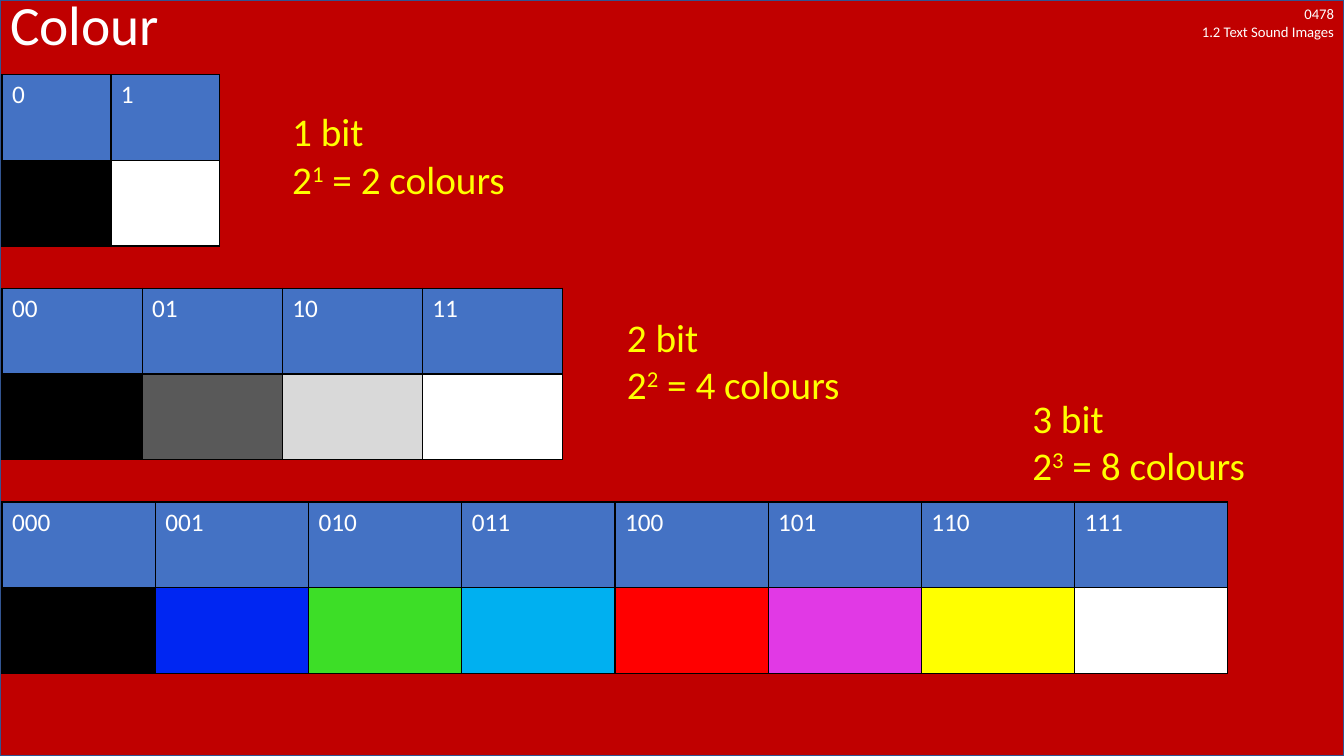
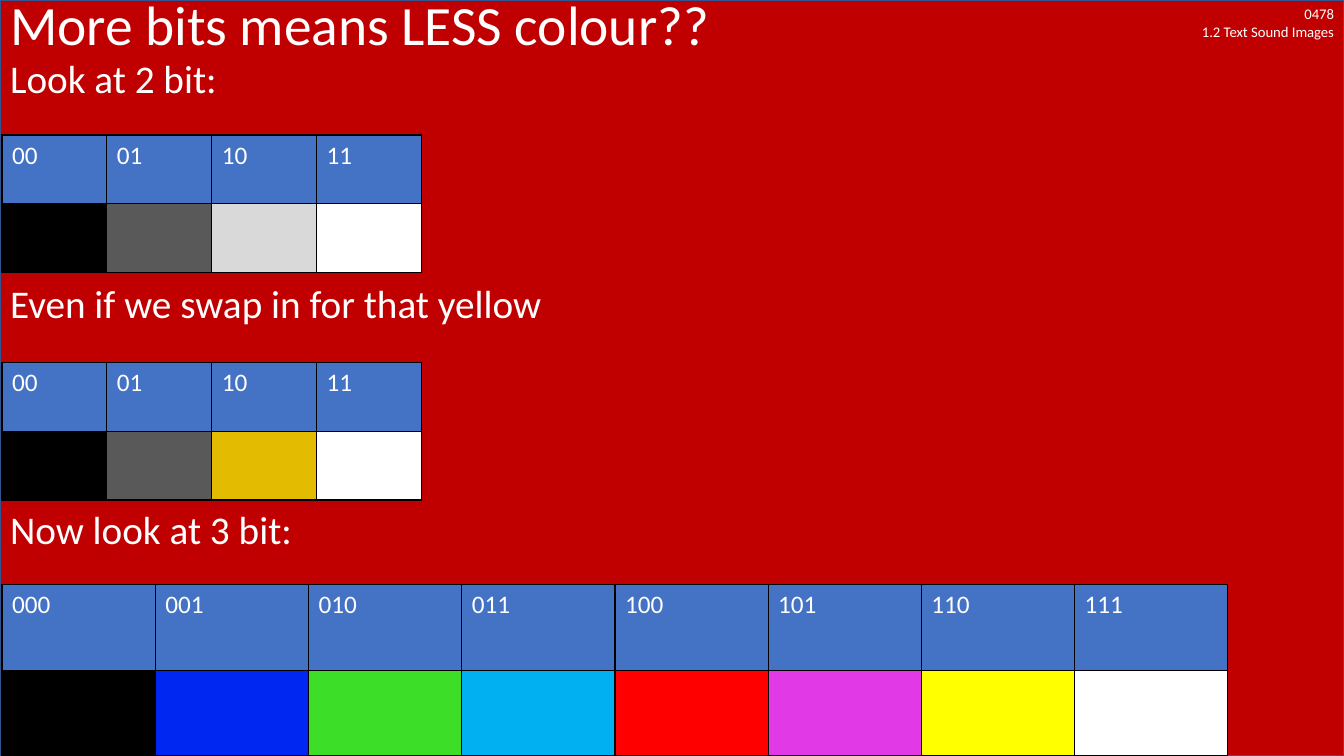
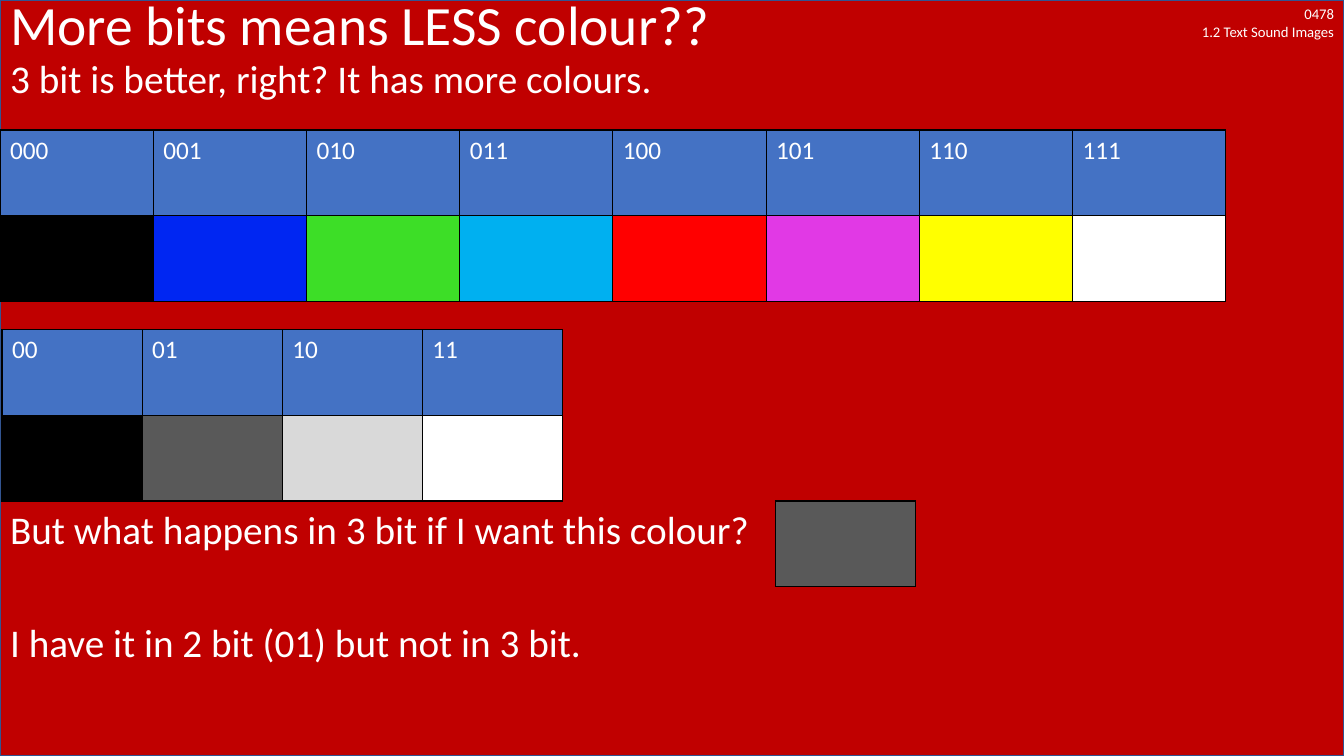
"""Builds three slides on colour depth in bits."""
from lxml import etree
from pptx import Presentation
from pptx.dml.color import RGBColor
from pptx.enum.shapes import MSO_SHAPE
from pptx.enum.text import MSO_ANCHOR, MSO_AUTO_SIZE, PP_ALIGN
from pptx.oxml.ns import qn
from pptx.util import Inches, Pt

RECTANGLE = MSO_SHAPE.RECTANGLE
TOP, MIDDLE = MSO_ANCHOR.TOP, MSO_ANCHOR.MIDDLE
NO_FIT = MSO_AUTO_SIZE.NONE
LEFT, RIGHT = PP_ALIGN.LEFT, PP_ALIGN.RIGHT

FONT = "Calibri"
WIDTH, HEIGHT = 13.33, 7.5
TITLE_HEIGHT = 0.54
EDGE = 0.02
TALL, SHORT = 0.85, 0.68
NARROW, MEDIUM, WIDE = 1.08, 1.39, 1.52
COMPACT = 1.04
LINE_HEIGHT, LINE_GAP = 30.3, 10

COLOURS = {
    "background": "C00000", "outline": "325491", "code": "4472C4",
    "text": "FFFFFF", "note": "FFFF00", "border": "000000",
    "black": "000000", "white": "FFFFFF", "dark grey": "595959",
    "light grey": "D9D9D9", "gold": "E3BC02", "blue": "0026F2",
    "green": "3DDE27", "cyan": "00B0F0", "red": "FF0000",
    "magenta": "E139E5", "yellow": "FFFF00",
}
ONE_BIT = ["black", "white"]
TWO_BIT = ["black", "dark grey", "light grey", "white"]
TWO_BIT_GOLD = ["black", "dark grey", "gold", "white"]
THREE_BIT = ["black", "blue", "green", "cyan", "red", "magenta", "yellow", "white"]

HEADER = ["0478", "1.2 Text Sound Images"]
LESS_COLOUR = "More bits means LESS colour??"

# palettes: swatches, left, top, column width, row height
# lines: text, number of lines below the previous text
SLIDES = [
    {
        "title": "Colour",
        "lines": [],
        "palettes": [
            (ONE_BIT, EDGE, 0.74, NARROW, TALL),
            (TWO_BIT, EDGE, 2.86, MEDIUM, TALL),
            (THREE_BIT, EDGE, 4.98, WIDE, TALL),
        ],
        "notes": [(1, 2.8, 1.02), (2, 6.12, 3.06), (3, 10.14, 3.86)],
    },
    {
        "title": LESS_COLOUR,
        "lines": [
            ("Look at 2 bit:", 0),
            ("Even if we swap in for that yellow", 4),
            ("Now look at 3 bit:", 4),
        ],
        "palettes": [
            (TWO_BIT, EDGE, 1.34, COMPACT, SHORT),
            (TWO_BIT_GOLD, EDGE, 3.6, COMPACT, SHORT),
            (THREE_BIT, EDGE, HEIGHT - 2 * TALL, WIDE, TALL),
        ],
        "notes": [],
    },
    {
        "title": LESS_COLOUR,
        "lines": [
            ("3 bit is better, right? It has more colours.", 0),
            ("But what happens in 3 bit if I want this colour?", 8),
            ("I have it in 2 bit (01) but not in 3 bit.", 2),
        ],
        "palettes": [
            (THREE_BIT, 0, 1.29, WIDE, TALL),
            (TWO_BIT, EDGE, 3.27, MEDIUM, TALL),
            (["dark grey"], 7.69, 4.97, MEDIUM, TALL),
        ],
        "notes": [],
    },
]


def rgb(name):
    return RGBColor.from_string(COLOURS[name])


def box(left, top, width, height):
    return [Inches(length) for length in (left, top, width, height)]


def style(paragraph, size, colour="text", align=LEFT):
    paragraph.alignment = align
    paragraph.font.name = FONT
    paragraph.font.size = Pt(size)
    paragraph.font.color.rgb = rgb(colour)


def add_text(slide, place):
    frame = slide.shapes.add_textbox(*place).text_frame
    frame.word_wrap = True
    return frame.paragraphs[0]


def move_to_master(master, shapes):
    tree = master.element.cSld.spTree
    for order, shape in enumerate(shapes):
        element = shape.element
        element.nvSpPr.cNvPr.set("id", str(100 + order))
        tree.insert(2 + order, element)


def add_backdrop(slide, master):
    backdrop = slide.shapes.add_shape(RECTANGLE, *box(0, 0, WIDTH, HEIGHT))
    backdrop.shadow.inherit = False
    backdrop.fill.solid()
    backdrop.fill.fore_color.rgb = rgb("background")
    backdrop.line.color.rgb = rgb("outline")
    backdrop.line.width = Pt(1)
    header = add_text(slide, box(WIDTH - 2.1, 0, 2.1, 0.45))
    code, topic = HEADER
    header.add_run().text = code
    header.add_line_break()
    header.add_run().text = topic
    style(header, 10.5, align=RIGHT)
    move_to_master(master, list(slide.shapes)[-2:])


def place_placeholder(placeholder, top, height, anchor):
    placeholder.left, placeholder.top, placeholder.width, placeholder.height = box(
        0, top, WIDTH, height)
    frame = placeholder.text_frame
    frame.auto_size = NO_FIT
    frame.vertical_anchor = anchor
    return frame


def fill_title(slide, title):
    frame = place_placeholder(slide.shapes.title, 0, TITLE_HEIGHT, MIDDLE)
    frame.text = title
    paragraph = frame.paragraphs[0]
    paragraph.line_spacing = 0.9
    style(paragraph, 39.6)


def fill_body(slide, lines):
    frame = place_placeholder(
        slide.placeholders[1], TITLE_HEIGHT, HEIGHT - TITLE_HEIGHT, TOP)
    frame.text = "\n".join(text for text, _ in lines)
    for paragraph, (_, steps) in zip(frame.paragraphs, lines):
        properties = paragraph._p.get_or_add_pPr()
        properties.set("marL", "0")
        properties.set("indent", "0")
        etree.SubElement(properties, qn("a:buNone"))
        paragraph.line_spacing = 0.9
        paragraph.space_before = Pt(
            max(0, steps * (LINE_HEIGHT + LINE_GAP) - LINE_HEIGHT))
        style(paragraph, 28)


def add_borders(cell):
    properties = cell._tc.get_or_add_tcPr()
    for order, side in enumerate(("lnL", "lnR", "lnT", "lnB")):
        border = etree.Element(qn("a:" + side), w=str(Pt(1)))
        solid = etree.SubElement(border, qn("a:solidFill"))
        etree.SubElement(solid, qn("a:srgbClr"), val=COLOURS["border"])
        properties.insert(order, border)


def add_palette(slide, swatches, left, top, column, row):
    count = len(swatches)
    bits = count.bit_length() - 1
    codes = [(format(number, f"0{bits}b"), "code") for number in range(count)]
    colours = [("", swatch) for swatch in swatches]
    rows = [codes, colours] if bits else [colours]
    table = slide.shapes.add_table(
        len(rows), count, *box(left, top, count * column, len(rows) * row)).table
    table.first_row = table.horz_banding = False
    for table_column in table.columns:
        table_column.width = Inches(column)
    for table_row, contents in zip(table.rows, rows):
        table_row.height = Inches(row)
        for cell, (text, fill) in zip(table_row.cells, contents):
            cell.text = text
            style(cell.text_frame.paragraphs[0], 18)
            cell.fill.solid()
            cell.fill.fore_color.rgb = rgb(fill)
            add_borders(cell)


def add_note(slide, bits, left, top):
    note = add_text(slide, box(left, top, 3, 1.04))
    note.add_run().text = f"{bits} bit"
    note.add_line_break()
    note.add_run().text = "2"
    power = note.add_run()
    power.text = str(bits)
    power._r.get_or_add_rPr().set("baseline", "30000")
    note.add_run().text = f" = {2 ** bits} colours"
    style(note, 28, "note")


def main():
    deck = Presentation()
    deck.slide_width, deck.slide_height = Inches(WIDTH), Inches(HEIGHT)
    with_body = deck.slide_layouts.get_by_name("Title and Content")
    title_only = deck.slide_layouts.get_by_name("Title Only")
    for content in SLIDES:
        slide = deck.slides.add_slide(with_body if content["lines"] else title_only)
        fill_title(slide, content["title"])
        if content["lines"]:
            fill_body(slide, content["lines"])
        for palette in content["palettes"]:
            add_palette(slide, *palette)
        for note in content["notes"]:
            add_note(slide, *note)
    add_backdrop(deck.slides[0], deck.slide_master)
    deck.save("out.pptx")


if __name__ == "__main__":
    main()
